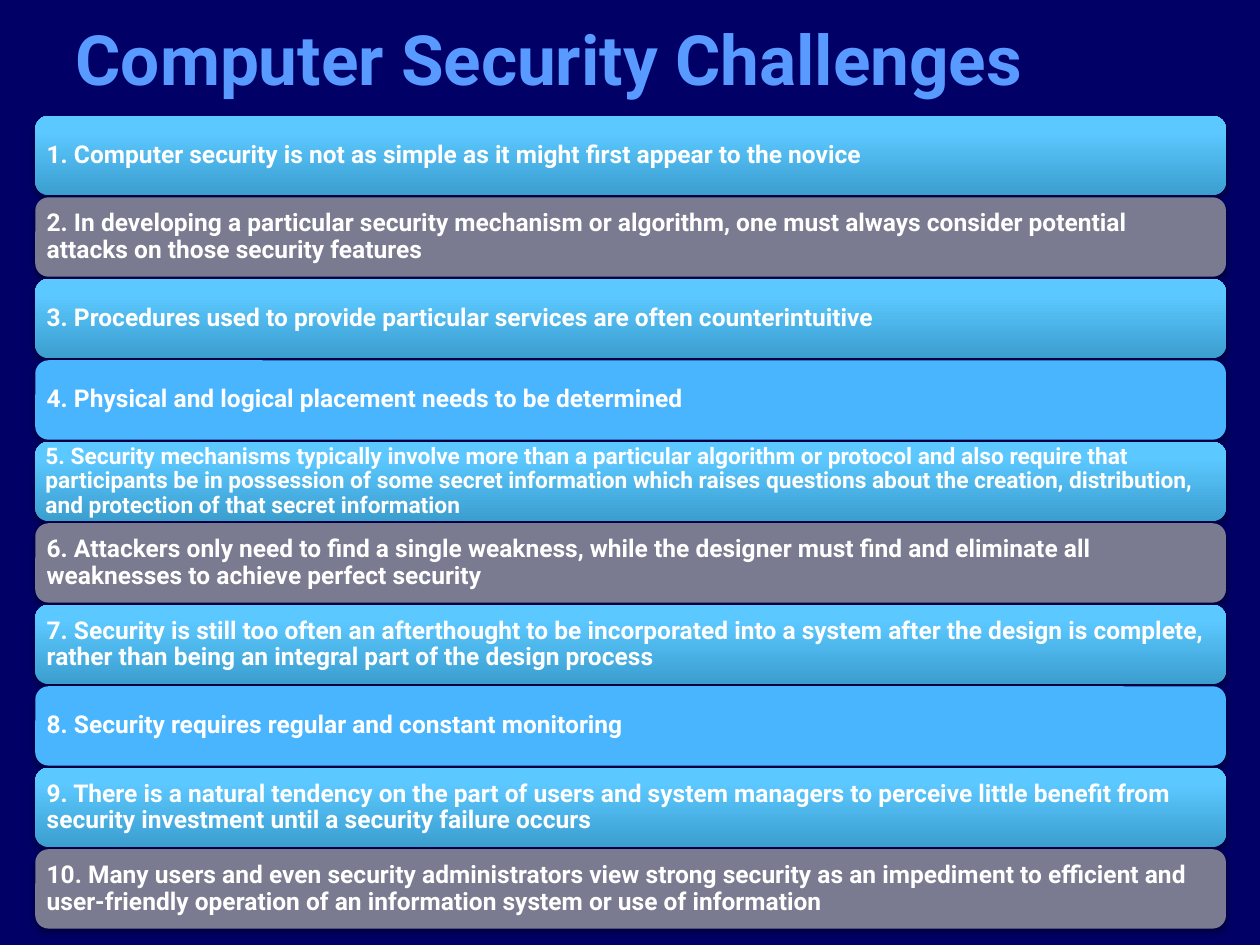
from pptx import Presentation
from pptx.dml.color import RGBColor as RGB
from pptx.enum.shapes import MSO_SHAPE as Shape
from pptx.enum.text import MSO_ANCHOR as Anchor, PP_ALIGN as Align
from pptx.oxml import parse_xml as to_xml
from pptx.oxml.ns import nsdecls
from pptx.util import Inches, Pt

NAVY = RGB(0x00, 0x00, 0x66)
TITLE = RGB(0x58, 0x9A, 0xFF)
EDGE = RGB(0x59, 0xC3, 0xF8)
WHITE = RGB(0xFF, 0xFF, 0xFF)
GREY = RGB(0x7A, 0x7A, 0x90)
BLUE = RGB(0x4A, 0xB5, 0xFF)
DEEP = RGB(0x3B, 0x9E, 0xCF)
SKY = RGB(0x5B, 0xC8, 0xFF)
PALE = RGB(0x5D, 0xC9, 0xFF)
GLOW = ((0, DEEP), (80, SKY), (100, PALE))
FILLS = (GLOW, GREY, GLOW, BLUE)

TOP, LAST = 0.92, 6.74
ITEMS = (
    "Computer security is not as simple as it might first appear to the novice",
    "In developing a particular security mechanism or algorithm, one must always "
    "consider potential attacks on those security features",
    "Procedures used to provide particular services are often counterintuitive",
    "Physical and logical placement needs to be determined",
    "Security mechanisms typically involve more than a particular algorithm or "
    "protocol and also require that participants be in possession of some secret "
    "information which raises questions about the creation, distribution, and "
    "protection of that secret information",
    "Attackers only need to find a single weakness, while the designer must find "
    "and eliminate all weaknesses to achieve perfect security",
    "Security is still too often an afterthought to be incorporated into a system "
    "after the design is complete, rather than being an integral part of the "
    "design process",
    "Security requires regular and constant monitoring",
    "There is a natural tendency on the part of users and system managers to "
    "perceive little benefit from security investment until a security failure "
    "occurs",
    "Many users and even security administrators view strong security as an "
    "impediment to efficient and user-friendly operation of an information system "
    "or use of information",
)


def put_text(shape, text, size, color, pad=None, space=None):
    frame = shape.text_frame
    frame.word_wrap = True
    frame.vertical_anchor = Anchor.MIDDLE
    if pad is not None:
        frame.margin_left = frame.margin_right = Inches(pad)
        frame.margin_top = frame.margin_bottom = Inches(pad)
    para = frame.paragraphs[0]
    para.alignment = Align.LEFT
    para.line_spacing = space
    run = para.add_run()
    run.text = text
    font = run.font
    font.name, font.size, font.bold = "Roboto", Pt(size), True
    font.color.rgb = color
    return run


def add_title(slide):
    title = slide.shapes.title
    title.left, title.top = Inches(0.5), Inches(0)
    title.width, title.height = Inches(9), Inches(0.92)
    run = put_text(title, "Computer Security Challenges", 39.6, TITLE)
    edge = to_xml(
        f'<a:ln {nsdecls("a")} w="{Pt(0.83)}"><a:solidFill>'
        f'<a:srgbClr val="{EDGE}"/></a:solidFill></a:ln>'
    )
    run.font._element.insert(0, edge)


def set_fill(shape, fill):
    if isinstance(fill, RGB):
        shape.fill.solid()
        shape.fill.fore_color.rgb = fill
        return
    shape.fill.gradient()
    shape.fill.gradient_angle = 90
    stops = "".join(
        f'<a:gs pos="{pos * 1000}"><a:srgbClr val="{color}"/></a:gs>'
        for pos, color in fill
    )
    new = to_xml(f'<a:gsLst {nsdecls("a")}>{stops}</a:gsLst>')
    old = shape._element.spPr.gradFill.gsLst
    old.getparent().replace(old, new)


def add_shade(shape):
    shape._element.spPr.append(to_xml(
        f'<a:effectLst {nsdecls("a")}><a:outerShdw blurRad="{Pt(3.1)}" '
        f'dist="{Pt(1.8)}" dir="5400000" rotWithShape="0">'
        '<a:srgbClr val="000000"><a:alpha val="35000"/></a:srgbClr>'
        '</a:outerShdw></a:effectLst>'
    ))


def add_bar(slide, top, text, fill, size, pad):
    bar = slide.shapes.add_shape(
        Shape.ROUNDED_RECTANGLE,
        Inches(0.28), Inches(top), Inches(9.45), Inches(0.63),
    )
    set_fill(bar, fill)
    bar.line.fill.background()
    add_shade(bar)
    put_text(bar, text, size, WHITE, pad=pad, space=0.9)


def main():
    deck = Presentation()
    deck.slide_width, deck.slide_height = Inches(10), Inches(7.5)
    slide = deck.slides.add_slide(deck.slide_layouts[5])
    slide.background.fill.solid()
    slide.background.fill.fore_color.rgb = NAVY
    add_title(slide)
    step = (LAST - TOP) / (len(ITEMS) - 1)
    for i, item in enumerate(ITEMS):
        size, pad = (13, 0.05) if len(item) > 200 else (14, 0.06)
        fill = FILLS[i % len(FILLS)]
        add_bar(slide, TOP + i * step, f"{i + 1}. {item}", fill, size, pad)
    deck.save("out.pptx")


if __name__ == "__main__":
    main()
